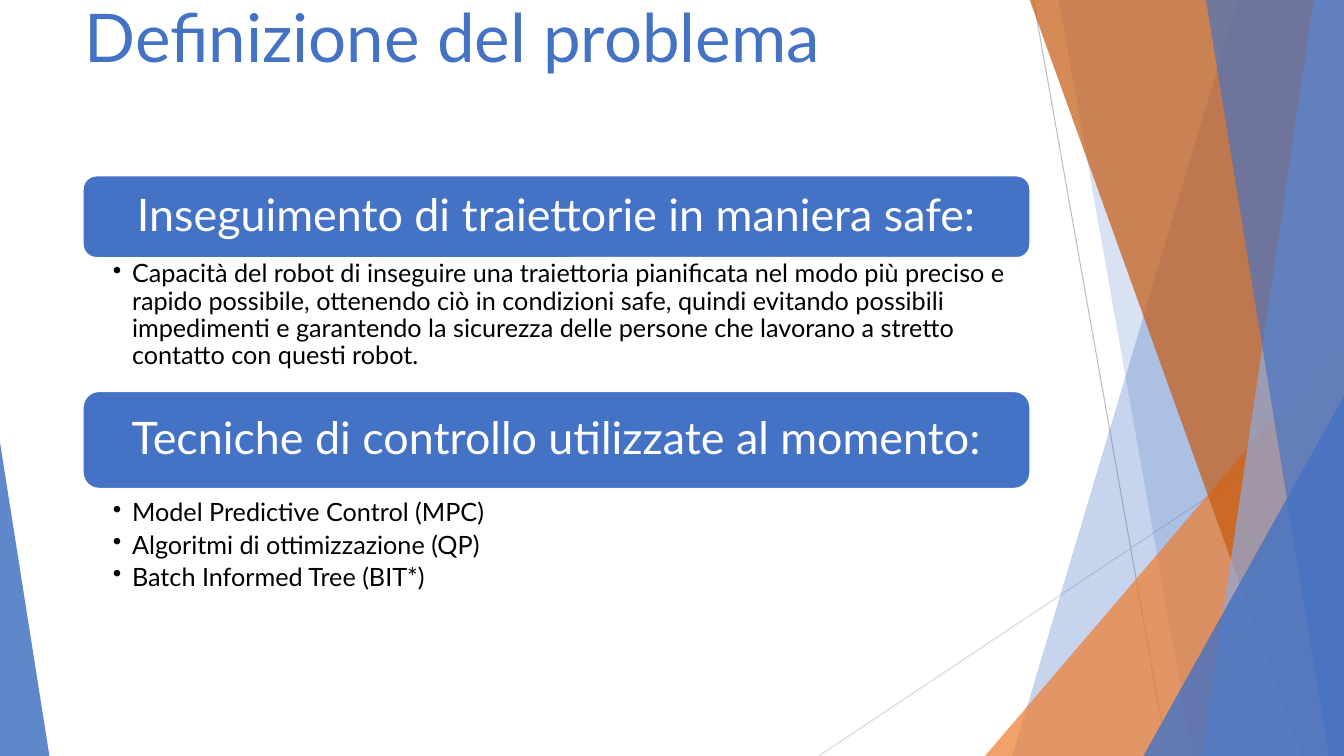
from lxml.etree import SubElement
from pptx import Presentation
from pptx.dml.color import RGBColor
from pptx.enum.shapes import MSO_CONNECTOR, MSO_SHAPE
from pptx.enum.text import MSO_ANCHOR, PP_ALIGN
from pptx.oxml.ns import qn
from pptx.util import Inches, Pt

BLUE = RGBColor(0x44, 0x72, 0xC4)
LIGHT_BLUE = RGBColor(0x8F, 0xAA, 0xDC)
ORANGE = RGBColor(0xED, 0x7D, 0x31)
DARK_ORANGE = RGBColor(0xC5, 0x5A, 0x11)
GRAY = RGBColor(0xBF, 0xBF, 0xBF)
LIGHT_GRAY = RGBColor(0xD9, 0xD9, 0xD9)
WHITE = RGBColor(0xFF, 0xFF, 0xFF)
BLACK = RGBColor(0x00, 0x00, 0x00)
FONT = "Lato"
WIDTH, HEIGHT = 13.33, 7.5
BAND_TOP = -0.01
BODY_LEFT, BODY_WIDTH = 0.82, 9.4


def set_font(paragraph, size, color):
    paragraph.font.name = FONT
    paragraph.font.size = Pt(size)
    paragraph.font.color.rgb = color


def set_insets(frame, left, top, right, bottom):
    frame.word_wrap = True
    frame.margin_left, frame.margin_top = Inches(left), Inches(top)
    frame.margin_right, frame.margin_bottom = Inches(right), Inches(bottom)


presentation = Presentation()
presentation.slide_width = Inches(WIDTH)
presentation.slide_height = Inches(HEIGHT)
slide = presentation.slides.add_slide(presentation.slide_layouts[6])
shapes = slide.shapes

# Thin diagonal lines
for x1, y1, x2, color in [(10.25, 0, 11.58, GRAY), (WIDTH, 4.03, 8.12, LIGHT_GRAY)]:
    line = shapes.add_connector(
        MSO_CONNECTOR.STRAIGHT, Inches(x1), Inches(y1), Inches(x2), Inches(HEIGHT))
    line.line.color.rgb = color
    line.line.width = Pt(0.75)
    SubElement(line._element.spPr, qn("a:effectLst"))

# Translucent facets, back to front
# band: x at top, x at bottom; triangle: left, top, width, apex
facets = [
    ("band", (12.28, 10.04), BLUE, 30),
    ("band", (10.5, 11.83), BLUE, 20),
    ("triangle", (9.77, 3.33, 3.56, 1), ORANGE, 72),
    ("band", (10.21, 12.91), DARK_ORANGE, 70),
    ("band", (13.03, 11.92), LIGHT_BLUE, 70),
    ("band", (11.96, 13.18), BLUE, 65),
    ("triangle", (11.34, 3.93, 1.99, 1), BLUE, 80),
    ("triangle", (0, 4.39, 0.49, 0), BLUE, 85),
]
for kind, geometry, color, opacity in facets:
    if kind == "band":
        top_x, bottom_x = geometry
        builder = shapes.build_freeform(Inches(top_x), Inches(BAND_TOP))
        corners = [(WIDTH, BAND_TOP), (WIDTH, HEIGHT), (bottom_x, HEIGHT)]
        builder.add_line_segments([(Inches(x), Inches(y)) for x, y in corners])
        facet = builder.convert_to_shape()
    else:
        left, top, width, apex = geometry
        facet = shapes.add_shape(
            MSO_SHAPE.ISOSCELES_TRIANGLE, Inches(left), Inches(top),
            Inches(width), Inches(HEIGHT - top))
        facet.adjustments[0] = apex
    facet.shadow.inherit = False
    facet.line.fill.background()
    facet.fill.solid()
    facet.fill.fore_color.rgb = color
    color_element = facet._element.spPr.find(qn("a:solidFill"))[0]
    SubElement(color_element, qn("a:alpha"), val=str(opacity * 1000))

# Title
title = shapes.add_textbox(Inches(0.74), 0, Inches(10.46), Inches(1.44))
set_insets(title.text_frame, 0.1, 0.05, 0.1, 0.05)
paragraph = title.text_frame.paragraphs[0]
paragraph.text = "Definizione del problema"
paragraph.line_spacing = 0.9
set_font(paragraph, 48, BLUE)

# Sections: heading bar with bullets below
sections = [
    ("Inseguimento di traiettorie in maniera safe:", 1.74, 0.82, 2.56, 1.1, [
        "Capacità del robot di inseguire una traiettoria pianificata nel modo più "
        "preciso e rapido possibile, ottenendo ciò in condizioni safe, quindi evitando "
        "possibili impedimenti e garantendo la sicurezza delle persone che lavorano a "
        "stretto contatto con questi robot."]),
    ("Tecniche di controllo utilizzate al momento:", 3.88, 0.97, 4.93, 1.82, [
        "Model Predictive Control (MPC)",
        "Algoritmi di ottimizzazione (QP)",
        "Batch Informed Tree (BIT*)"]),
]
for heading, bar_top, bar_height, list_top, list_height, items in sections:
    bar = shapes.add_shape(
        MSO_SHAPE.ROUNDED_RECTANGLE, Inches(BODY_LEFT), Inches(bar_top),
        Inches(BODY_WIDTH), Inches(bar_height))
    bar.shadow.inherit = False
    bar.fill.solid()
    bar.fill.fore_color.rgb = BLUE
    bar.line.color.rgb = WHITE
    bar.line.width = Pt(1.5)
    set_insets(bar.text_frame, 0.13, 0.13, 0.13, 0.13)
    bar.text_frame.vertical_anchor = MSO_ANCHOR.MIDDLE
    paragraph = bar.text_frame.paragraphs[0]
    paragraph.text = heading
    paragraph.alignment = PP_ALIGN.CENTER
    paragraph.line_spacing = 0.9
    set_font(paragraph, 32, WHITE)

    bullets = shapes.add_textbox(
        Inches(BODY_LEFT), Inches(list_top), Inches(BODY_WIDTH), Inches(list_height))
    frame = bullets.text_frame
    set_insets(frame, 0.3, 0.03, 0.14, 0.03)
    for index, item in enumerate(items):
        paragraph = frame.add_paragraph() if index else frame.paragraphs[0]
        paragraph.text = item
        paragraph.level = 1
        properties = paragraph._p.get_or_add_pPr()
        properties.set("marL", str(Inches(0.19)))
        properties.set("indent", str(Inches(-0.19)))
        SubElement(properties, qn("a:buChar"), char="•")
        paragraph.line_spacing = 0.9
        paragraph.space_after = Pt(3.6)
        set_font(paragraph, 18, BLACK)

presentation.save("out.pptx")
